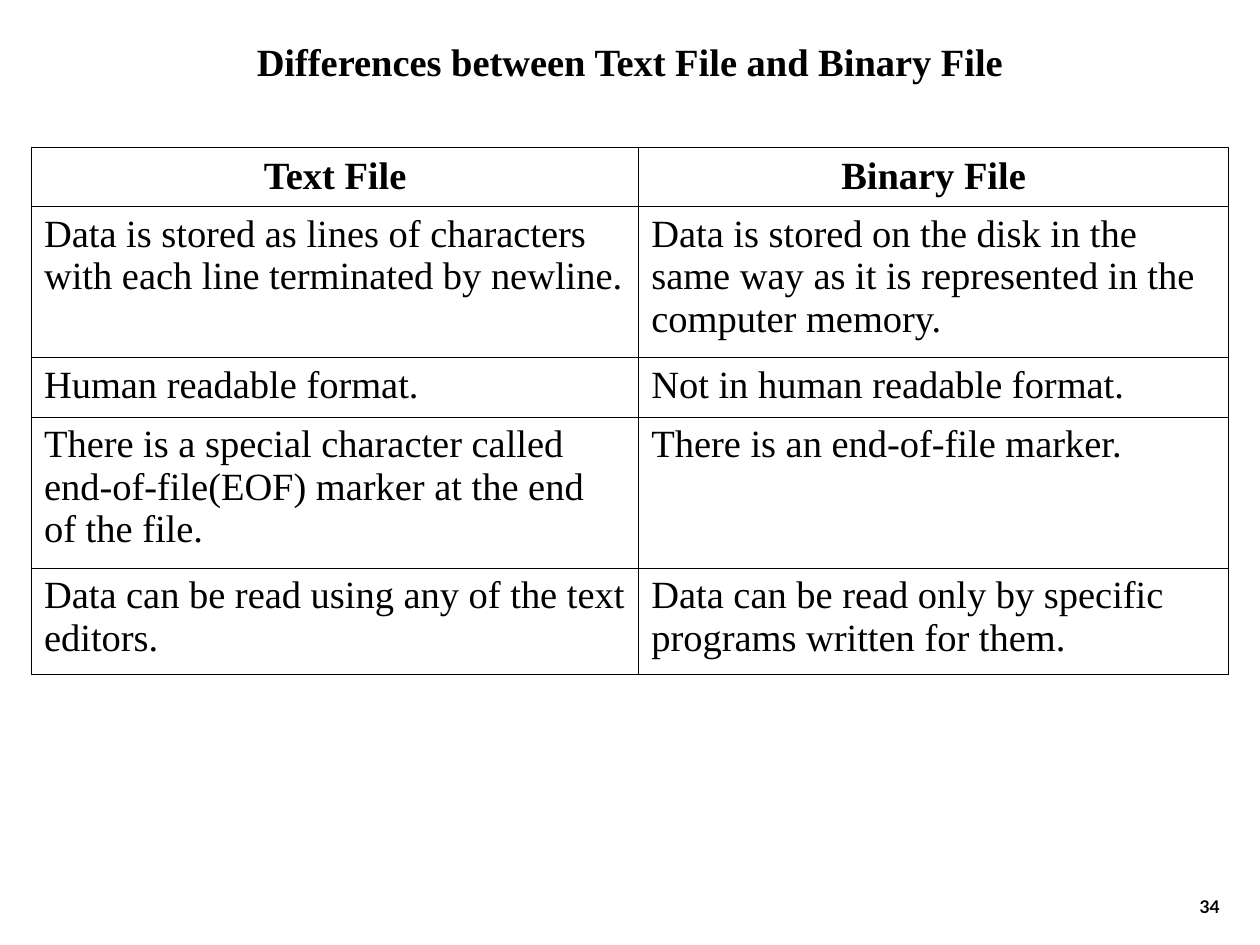
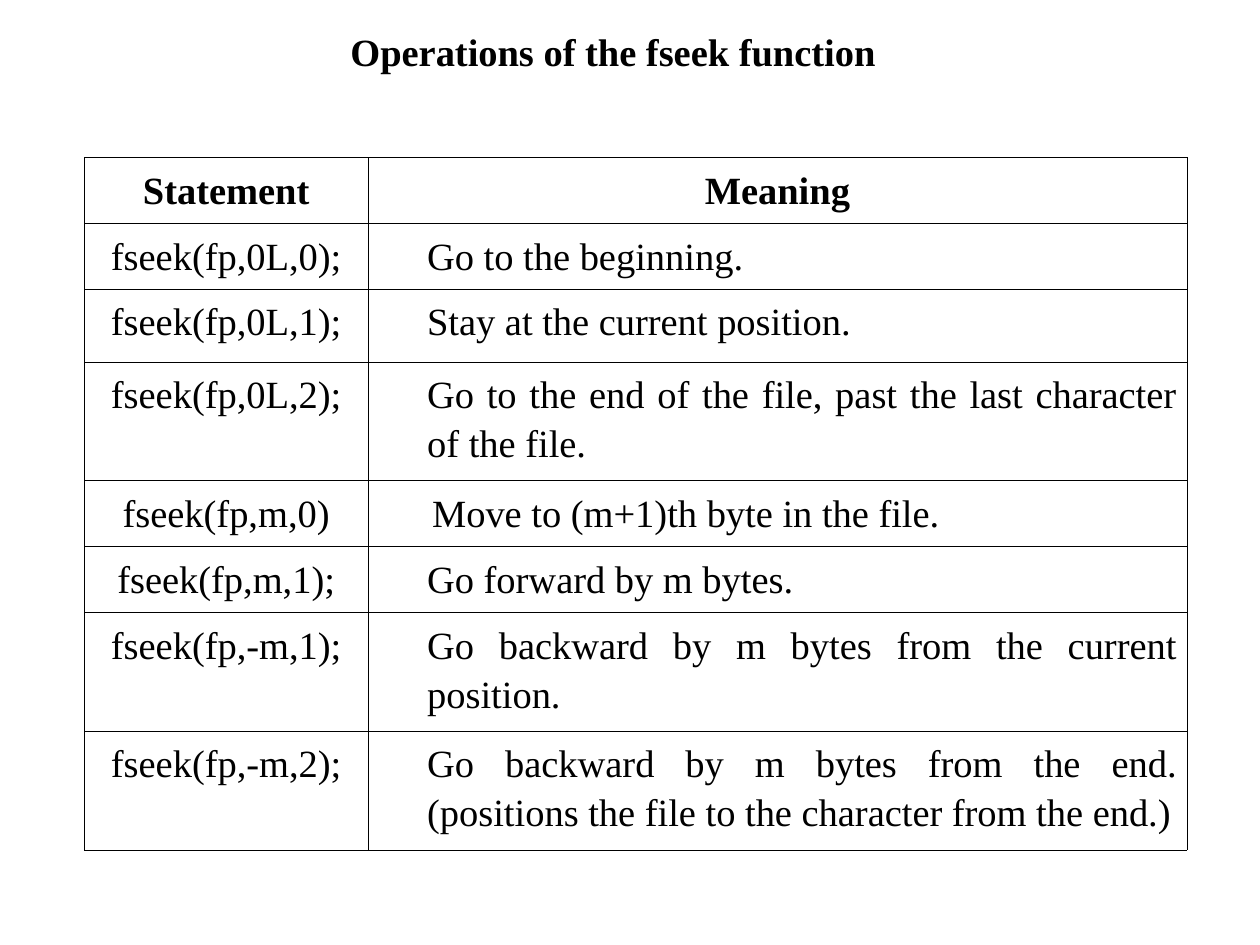
import pptx
import pptx.util
import pptx.dml.color
import pptx.enum.text
import pptx.oxml
import pptx.oxml.ns
from lxml import etree

Inches = pptx.util.Inches
Pt = pptx.util.Pt
Align = pptx.enum.text.PP_ALIGN
Anchor = pptx.enum.text.MSO_ANCHOR
COLORS = {"ink": "000000", "paper": "FFFFFF"}
SERIF = "Times New Roman"
SIZE = 22

FILES = [
    ("Text File", "Binary File"),
    ("Data is stored as lines of characters\nwith each line terminated by newline.",
     "Data is stored on the disk in the\nsame way as it is represented in the\ncomputer memory."),
    ("Human readable format.", "Not in human readable format."),
    ("There is a special character called\nend-of-file(EOF) marker at the end\nof the file.",
     "There is an end-of-file marker."),
    ("Data can be read using any of the text\neditors.",
     "Data can be read only by specific\nprograms written for them."),
]
SEEKS = [
    ("Statement", "Meaning"),
    ("fseek(fp,0L,0);", "Go to the beginning."),
    ("fseek(fp,0L,1);", "Stay at the current position."),
    ("fseek(fp,0L,2);", "Go to the end of the file, past the last character of the file."),
    ("fseek(fp,m,0)", "Move to (m+1)th byte in the file."),
    ("fseek(fp,m,1);", "Go forward by m bytes."),
    ("fseek(fp,-m,1);", "Go backward by m bytes from the current position."),
    ("fseek(fp,-m,2);",
     "Go backward by m bytes from the end. (positions the file to the character from the end.)"),
]


def color(name):
    return pptx.dml.color.RGBColor.from_string(COLORS[name])


def style(para, align, size=SIZE, face=SERIF, bold=False):
    para.alignment = align
    for run in para.runs:
        font = run.font
        font.name, font.size, font.bold = face, Pt(size), bold
        font.color.rgb = color("ink")


def pad(frame, side):
    frame.margin_left = frame.margin_right = Inches(side)
    frame.margin_top = frame.margin_bottom = Inches(0.05)


def put_title(slide, box, text):
    title = slide.shapes.title
    title.left, title.top, title.width, title.height = map(Inches, box)
    frame = title.text_frame
    frame.text = text
    frame.word_wrap = True
    frame.auto_size = pptx.enum.text.MSO_AUTO_SIZE.SHAPE_TO_FIT_TEXT
    frame.vertical_anchor = Anchor.MIDDLE
    pad(frame, 0.1)
    style(frame.paragraphs[0], Align.CENTER, bold=True)


def put_page(slide, box, text):
    frame = slide.shapes.add_textbox(*map(Inches, box)).text_frame
    frame.text = text
    frame.word_wrap = True
    frame.vertical_anchor = Anchor.BOTTOM
    pad(frame, 0.1)
    style(frame.paragraphs[0], Align.RIGHT, 10, "Lato", True)


def indent(para, left, first=0):
    props = para._p.get_or_add_pPr()
    props.set("marL", str(Inches(left)))
    props.set("indent", str(Inches(first)))


def border(cell):
    props = cell._tc.get_or_add_tcPr()
    for rank, side in enumerate(("lnL", "lnR", "lnT", "lnB")):
        line = etree.Element(pptx.oxml.ns.qn("a:" + side), w=str(Pt(0.45)))
        fill = etree.SubElement(line, pptx.oxml.ns.qn("a:solidFill"))
        etree.SubElement(fill, pptx.oxml.ns.qn("a:srgbClr"), val=COLORS["ink"])
        props.insert(rank, line)


def put_table(slide, spot, cols, rows, data, side, shape):
    left, top = spot
    box = map(Inches, (left, top, sum(cols), sum(rows)))
    table = slide.shapes.add_table(len(rows), len(cols), *box).table
    table.first_row = table.horz_banding = False
    for col, width in zip(table.columns, cols):
        col.width = Inches(width)
    for row, height in zip(table.rows, rows):
        row.height = Inches(height)
    for r, texts in enumerate(data):
        for c, text in enumerate(texts):
            cell = table.cell(r, c)
            cell.text = text
            cell.fill.background()
            pad(cell, side)
            border(cell)
            shape(cell, r, c)


def file_cell(cell, r, c):
    cell.vertical_anchor = Anchor.TOP if r else Anchor.MIDDLE
    for para in cell.text_frame.paragraphs:
        indent(para, 0.38, -0.38)
        style(para, Align.JUSTIFY if r else Align.CENTER, bold=r == 0)


def seek_cell(cell, r, c):
    para = cell.text_frame.paragraphs[0]
    para.line_spacing = 1.15
    para.space_after = Pt(10)
    prose = r > 0 and c == 1
    if prose:
        indent(para, 0.43 if r == 4 else 0.39)
    style(para, Align.JUSTIFY if prose else Align.CENTER, bold=r == 0)


def add_slide(deck):
    slide = deck.slides.add_slide(deck.slide_layouts[5])
    fill = slide.background.fill
    fill.solid()
    fill.fore_color.rgb = color("paper")
    return slide


def file_slide(deck):
    slide = add_slide(deck)
    put_table(slide, (0.25, 1.17), (4.82, 4.68), (0.47, 1.2, 0.47, 1.2, 0.84),
              FILES, 0.1, file_cell)
    put_title(slide, (0.5, 0.25, 9, 0.47), "Differences between Text File and Binary File")
    put_page(slide, (7.7, 6.83, 2.08, 0.5), "34")


def seek_slide(deck):
    slide = add_slide(deck)
    put_table(slide, (0.67, 1.25), (2.25, 6.5),
              (0.42, 0.5, 0.58, 0.92, 0.5, 0.5, 0.92, 0.84), SEEKS, 0.08, seek_cell)
    put_title(slide, (0.14, 0.17, 9.45, 0.47), "Operations of the fseek function")


def main():
    deck = pptx.Presentation()
    deck.slide_width, deck.slide_height = Inches(10), Inches(7.5)
    file_slide(deck)
    seek_slide(deck)
    deck.save("out.pptx")


if __name__ == "__main__":
    main()
